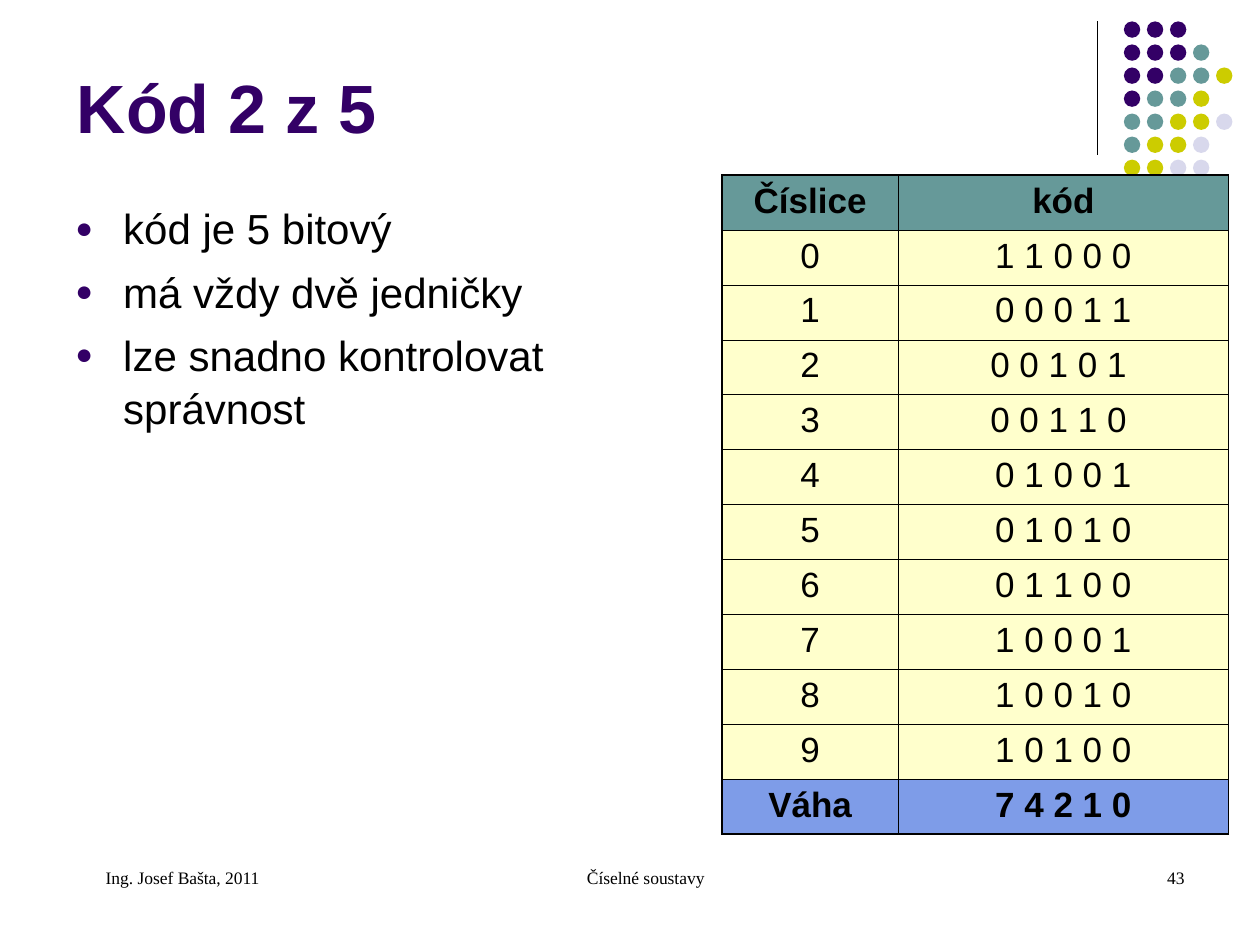
"""Build the slide about the 2-out-of-5 code."""
from lxml.etree import SubElement
from pptx import Presentation
from pptx.dml.color import RGBColor
from pptx.enum.shapes import MSO_CONNECTOR, MSO_SHAPE
from pptx.enum.text import MSO_ANCHOR, PP_ALIGN
from pptx.oxml.ns import qn
from pptx.util import Inches, Pt

BLACK = RGBColor(0x00, 0x00, 0x00)
PURPLE = RGBColor(0x33, 0x00, 0x66)
TEAL = RGBColor(0x66, 0x99, 0x99)
OLIVE = RGBColor(0xCC, 0xCC, 0x00)
LILAC = RGBColor(0xD8, 0xD8, 0xEC)
CREAM = RGBColor(0xFF, 0xFF, 0xCC)
BLUE = RGBColor(0x7E, 0x9C, 0xE8)

TITLE = "Kód 2 z 5"
BULLETS = ["kód je 5 bitový", "má vždy dvě jedničky", "lze snadno kontrolovat správnost"]
ROWS = [
    ("Číslice", "kód"),
    ("0", "1 1 0 0 0"),
    ("1", "0 0 0 1 1"),
    ("2", "0 0 1 0 1 "),
    ("3", "0 0 1 1 0 "),
    ("4", "0 1 0 0 1"),
    ("5", "0 1 0 1 0"),
    ("6", "0 1 1 0 0"),
    ("7", "1 0 0 0 1"),
    ("8", "1 0 0 1 0"),
    ("9", "1 0 1 0 0"),
    ("Váha", "7 4 2 1 0"),
]
FOOTERS = [
    ("Číselné soustavy", 3.42, 3.17, PP_ALIGN.CENTER),
    ("43", 7.17, 2.33, PP_ALIGN.RIGHT),
    ("Ing. Josef Bašta, 2011", 0.5, 2.33, PP_ALIGN.LEFT),
]
DOT_ROWS = ["PPP", "PPPT", "PPTTO", "PTTO", "TTOOL", "TOOL", "OOLL"]
DOT_COLORS = {"P": PURPLE, "T": TEAL, "O": OLIVE, "L": LILAC}
DOT_LEFT, DOT_TOP, DOT_SIZE, DOT_PITCH = 8.92, 0.17, 0.13, 1.28 / 7
COL_WIDTHS = (1.4, 2.62)
TABLE_LEFT, TABLE_TOP, TABLE_HEIGHT = 5.73, 1.39, 5.23
THIN, THICK = 0.45, 1.08


def add_run(p, text, size, font="Arial", color=BLACK, bold=False):
    r = p.add_run()
    r.text = text
    r.font.size = Pt(size)
    r.font.name = font
    r.font.bold = bold
    r.font.color.rgb = color


def add_text_box(s, left, top, width, height):
    tf = s.shapes.add_textbox(*map(Inches, (left, top, width, height))).text_frame
    tf.word_wrap = True
    return tf


def add_decoration(s):
    x = Inches(8.71)
    line = s.shapes.add_connector(MSO_CONNECTOR.STRAIGHT, x, Inches(0.17), x, Inches(1.23))
    line.line.color.rgb = BLACK
    line.line.width = Pt(0.75)
    SubElement(line._element.spPr, qn("a:effectLst"))
    for i, row in enumerate(DOT_ROWS):
        for j, key in enumerate(row):
            dot = s.shapes.add_shape(
                MSO_SHAPE.OVAL, Inches(DOT_LEFT + j * DOT_PITCH),
                Inches(DOT_TOP + i * DOT_PITCH), Inches(DOT_SIZE), Inches(DOT_SIZE))
            dot.shadow.inherit = False
            dot.fill.solid()
            dot.fill.fore_color.rgb = DOT_COLORS[key]
            dot.line.fill.background()


def add_title(s):
    sp = s.shapes.title
    sp.left, sp.top, sp.width, sp.height = map(Inches, (0.51, 0.36, 8.25, 0.86))
    tf = sp.text_frame
    tf.vertical_anchor = MSO_ANCHOR.BOTTOM
    p = tf.paragraphs[0]
    p.alignment = PP_ALIGN.LEFT
    add_run(p, TITLE, 39, color=PURPLE, bold=True)


def add_bullets(s):
    tf = add_text_box(s, 0.5, 1.54, 5.1, 5.16)
    for i, text in enumerate(BULLETS):
        p = tf.add_paragraph() if i else tf.paragraphs[0]
        pPr = p._p.get_or_add_pPr()
        pPr.set("marL", str(Inches(0.38)))
        pPr.set("indent", str(-Inches(0.38)))
        SubElement(SubElement(pPr, qn("a:buClr")), qn("a:srgbClr"), val=str(PURPLE))
        SubElement(pPr, qn("a:buSzPct"), val="70000")
        SubElement(pPr, qn("a:buFont"), typeface="Arial")
        SubElement(pPr, qn("a:buChar"), char="●")
        p.line_spacing = 1.05
        if i:
            p.space_before = Pt(6)
        add_run(p, text, 24)


def set_borders(cell, widths):
    tcPr = cell._tc.get_or_add_tcPr()
    for side, width in widths.items():
        ln = SubElement(tcPr, qn(f"a:ln{side}"), w=str(Pt(width)))
        SubElement(SubElement(ln, qn("a:solidFill")), qn("a:srgbClr"), val=str(BLACK))


def add_code_table(s):
    last = len(ROWS) - 1
    table = s.shapes.add_table(
        len(ROWS), len(COL_WIDTHS), Inches(TABLE_LEFT), Inches(TABLE_TOP),
        Inches(sum(COL_WIDTHS)), Inches(TABLE_HEIGHT)).table
    table.first_row = table.horz_banding = False
    for col, width in zip(table.columns, COL_WIDTHS):
        col.width = Inches(width)
    for i, row in enumerate(ROWS):
        for j, text in enumerate(row):
            cell = table.cell(i, j)
            set_borders(cell, {
                "L": THIN if j else THICK,
                "R": THICK if j else THIN,
                "T": THIN if i else THICK,
                "B": THICK if i == last else THIN,
            })
            cell.fill.solid()
            cell.fill.fore_color.rgb = {0: TEAL, last: BLUE}.get(i, CREAM)
            p = cell.text_frame.paragraphs[0]
            p.alignment = PP_ALIGN.CENTER
            add_run(p, text, 20, bold=i in (0, last))


def add_footers(s):
    for text, left, width, align in FOOTERS:
        p = add_text_box(s, left, 6.83, width, 0.5).paragraphs[0]
        p.alignment = align
        p._p.get_or_add_pPr().set("marL", str(Inches(0.24)))
        add_run(p, text, 10, "Times New Roman")


def main():
    prs = Presentation()
    prs.slide_width, prs.slide_height = Inches(10), Inches(7.5)
    s = prs.slides.add_slide(prs.slide_layouts[5])
    add_decoration(s)
    add_title(s)
    add_bullets(s)
    add_code_table(s)
    add_footers(s)
    prs.save("out.pptx")


if __name__ == "__main__":
    main()
